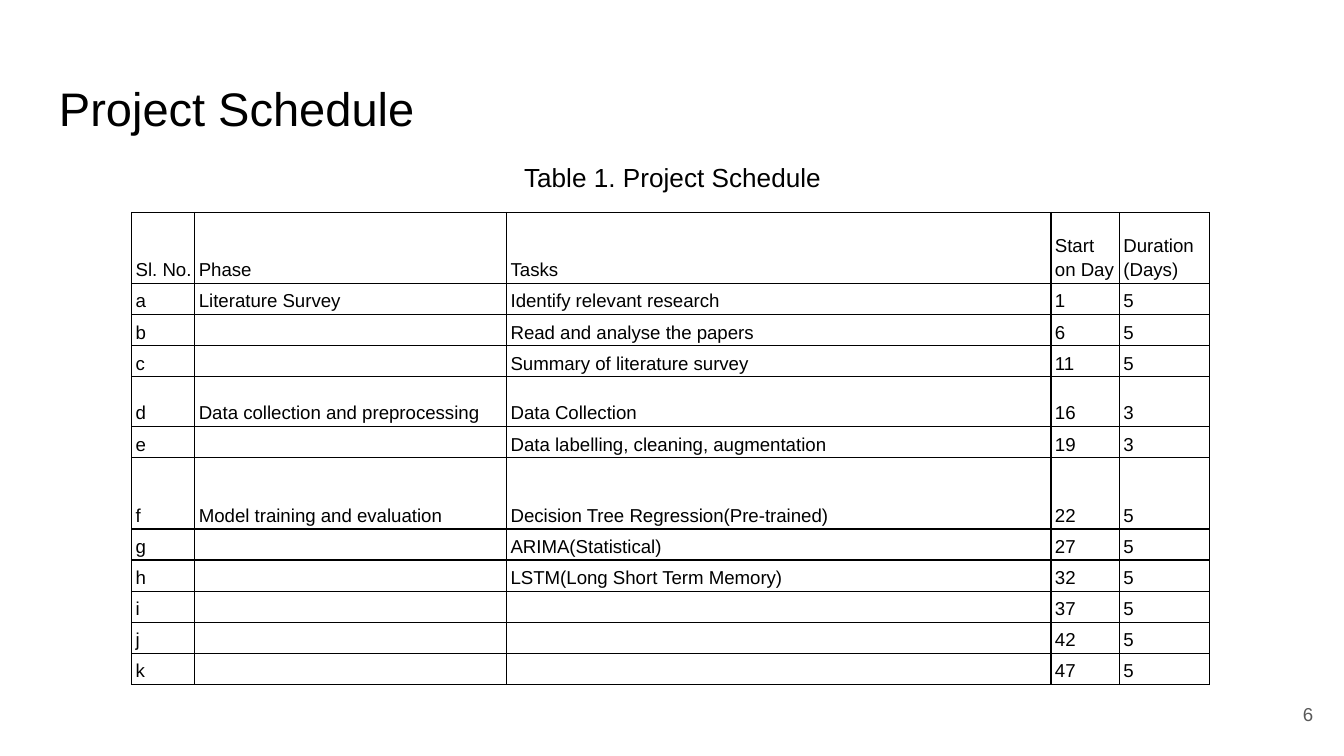
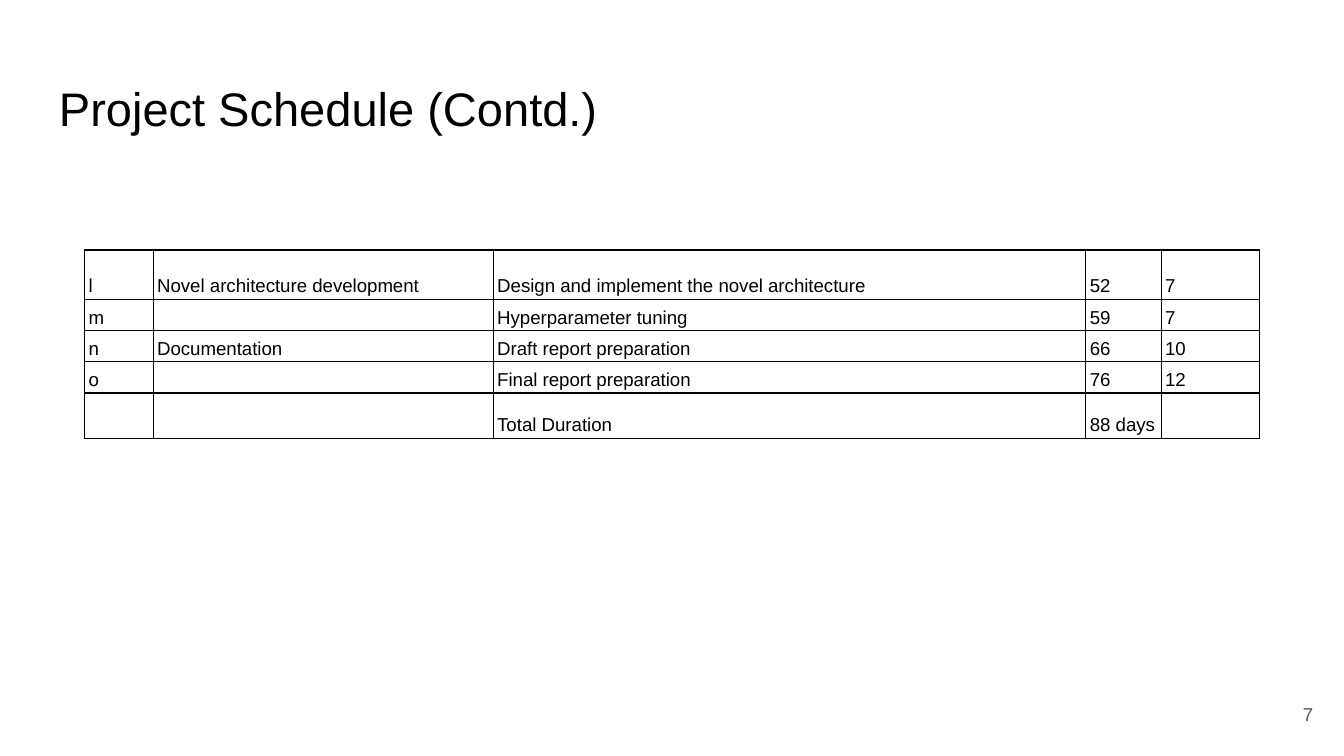
from dataclasses import dataclass

from pptx import Presentation
from pptx import util as u
from pptx.dml import color
from pptx.enum import text
from pptx.oxml import xmlchemy


@dataclass(frozen=True)
class Theme:
    """Colours, font and type sizes shared by the slides."""
    font: str = "Arial"
    ink: str = "000000"
    muted: str = "595959"
    paper: str = "FFFFFF"
    title_size: float = 25.2
    caption_size: float = 14
    body_size: float = 10
    rule_width: float = 0.75
    line_spacing: float = 1.15


THEME = Theme()
SLIDE_WIDTH = 10
TITLE_BOX = (0.34, 0.49, 9.32, 0.63)
CAPTION_BOX = (3.39, 1.1, 3.23, 0.32)
NUMBER_BOX = (9.27, 5.1, 0.6, 0.43)
LINE, DOUBLE, TRIPLE = 0.21, 0.37, 0.53

FIRST_ROWS = [
    ("Sl. No.", "Phase", "Tasks", "Start on Day", "Duration (Days)"),
    ("a", "Literature Survey", "Identify relevant research", "1", "5"),
    ("b", "", "Read and analyse the papers", "6", "5"),
    ("c", "", "Summary of literature survey", "11", "5"),
    ("d", "Data collection and preprocessing", "Data Collection", "16", "3"),
    ("e", "", "Data labelling, cleaning, augmentation", "19", "3"),
    ("f", "Model training and evaluation", "Decision Tree Regression(Pre-trained)", "22", "5"),
    ("g", "", "ARIMA(Statistical)", "27", "5"),
    ("h", "", "LSTM(Long Short Term Memory)", "32", "5"),
    ("i", "", "", "37", "5"),
    ("j", "", "", "42", "5"),
    ("k", "", "", "47", "5"),
]
FIRST_HEIGHTS = [TRIPLE, *[LINE] * 3, DOUBLE, LINE, TRIPLE, *[LINE] * 5]
FIRST_WIDTHS = [0.47, 2.32, 4.05, 0.51, 0.67]

LAST_ROWS = [
    ("l", "Novel architecture development", "Design and implement the novel architecture", "52", "7"),
    ("m", "", "Hyperparameter tuning", "59", "7"),
    ("n", "Documentation", "Draft report preparation", "66", "10"),
    ("o", "", "Final report preparation", "76", "12"),
    ("", "", "Total Duration", "88 days", ""),
]
LAST_HEIGHTS = [DOUBLE, *[LINE] * 3, 0.34]
LAST_WIDTHS = [0.51, 2.53, 4.41, 0.56, 0.73]


def add_run(paragraph, words, size, colour):
    """Append one styled run to the paragraph."""
    run = paragraph.add_run()
    run.text = words
    run.font.name = THEME.font
    run.font.size = u.Pt(size)
    run.font.color.rgb = color.RGBColor.from_string(colour)


def add_text(slide, box, words, size, colour=THEME.ink,
             align=text.PP_ALIGN.LEFT, anchor=text.MSO_ANCHOR.TOP):
    """Place a one-line text box."""
    frame = slide.shapes.add_textbox(*map(u.Inches, box)).text_frame
    frame.word_wrap = True
    frame.vertical_anchor = anchor
    frame.margin_left = frame.margin_right = u.Inches(0.1)
    frame.margin_top = frame.margin_bottom = u.Inches(0.1)
    paragraph = frame.paragraphs[0]
    paragraph.alignment = align
    add_run(paragraph, words, size, colour)


def add_borders(cell):
    """Rule all four sides of a table cell."""
    properties = cell._tc.get_or_add_tcPr()
    for index, side in enumerate(("lnL", "lnR", "lnT", "lnB")):
        line = xmlchemy.OxmlElement(f"a:{side}")
        line.set("w", str(u.Pt(THEME.rule_width)))
        fill = xmlchemy.OxmlElement("a:solidFill")
        ink = xmlchemy.OxmlElement("a:srgbClr")
        ink.set("val", THEME.ink)
        fill.append(ink)
        line.append(fill)
        properties.insert(index, line)


def fill_cell(cell, words):
    """Style one schedule cell and write its words."""
    cell.fill.background()
    add_borders(cell)
    cell.vertical_anchor = text.MSO_ANCHOR.BOTTOM
    cell.margin_left = u.Inches(0.03)
    cell.margin_right = cell.margin_top = cell.margin_bottom = u.Inches(0.02)
    paragraph = cell.text_frame.paragraphs[0]
    if words:
        add_run(paragraph, words, THEME.body_size, THEME.ink)
        if not words[0].isdigit():
            paragraph.line_spacing = THEME.line_spacing
    else:
        ending = xmlchemy.OxmlElement("a:endParaRPr")
        ending.set("sz", str(THEME.body_size * 100))
        paragraph._p.append(ending)


def add_schedule(slide, left, top, widths, heights, rows):
    """Draw a ruled schedule table from its top left corner."""
    box = (left, top, sum(widths), sum(heights))
    table = slide.shapes.add_table(len(rows), len(widths), *map(u.Inches, box)).table
    table.first_row = table.horz_banding = False
    for column, width in zip(table.columns, widths):
        column.width = u.Inches(width)
    for row, height, entries in zip(table.rows, heights, rows):
        row.height = u.Inches(height)
        for cell, words in zip(row.cells, entries):
            fill_cell(cell, words)


def add_schedule_slide(presentation, title, number):
    """Add a slide with its title and page number."""
    slide = presentation.slides.add_slide(presentation.slide_layouts[6])
    slide.background.fill.solid()
    slide.background.fill.fore_color.rgb = color.RGBColor.from_string(THEME.paper)
    add_text(slide, TITLE_BOX, title, THEME.title_size)
    add_text(slide, NUMBER_BOX, str(number), THEME.body_size, THEME.muted,
             text.PP_ALIGN.RIGHT, text.MSO_ANCHOR.MIDDLE)
    return slide


def main():
    """Build and save the schedule slides."""
    presentation = Presentation()
    presentation.slide_width = u.Inches(SLIDE_WIDTH)
    presentation.slide_height = u.Inches(SLIDE_WIDTH * 9 / 16)

    slide = add_schedule_slide(presentation, "Project Schedule", 6)
    add_schedule(slide, 0.98, 1.58, FIRST_WIDTHS, FIRST_HEIGHTS, FIRST_ROWS)
    add_text(slide, CAPTION_BOX, "Table 1. Project Schedule", THEME.caption_size,
             align=text.PP_ALIGN.CENTER)

    slide = add_schedule_slide(presentation, "Project Schedule (Contd.)", 7)
    add_schedule(slide, 0.63, 1.86, LAST_WIDTHS, LAST_HEIGHTS, LAST_ROWS)

    presentation.save("out.pptx")


if __name__ == "__main__":
    main()
